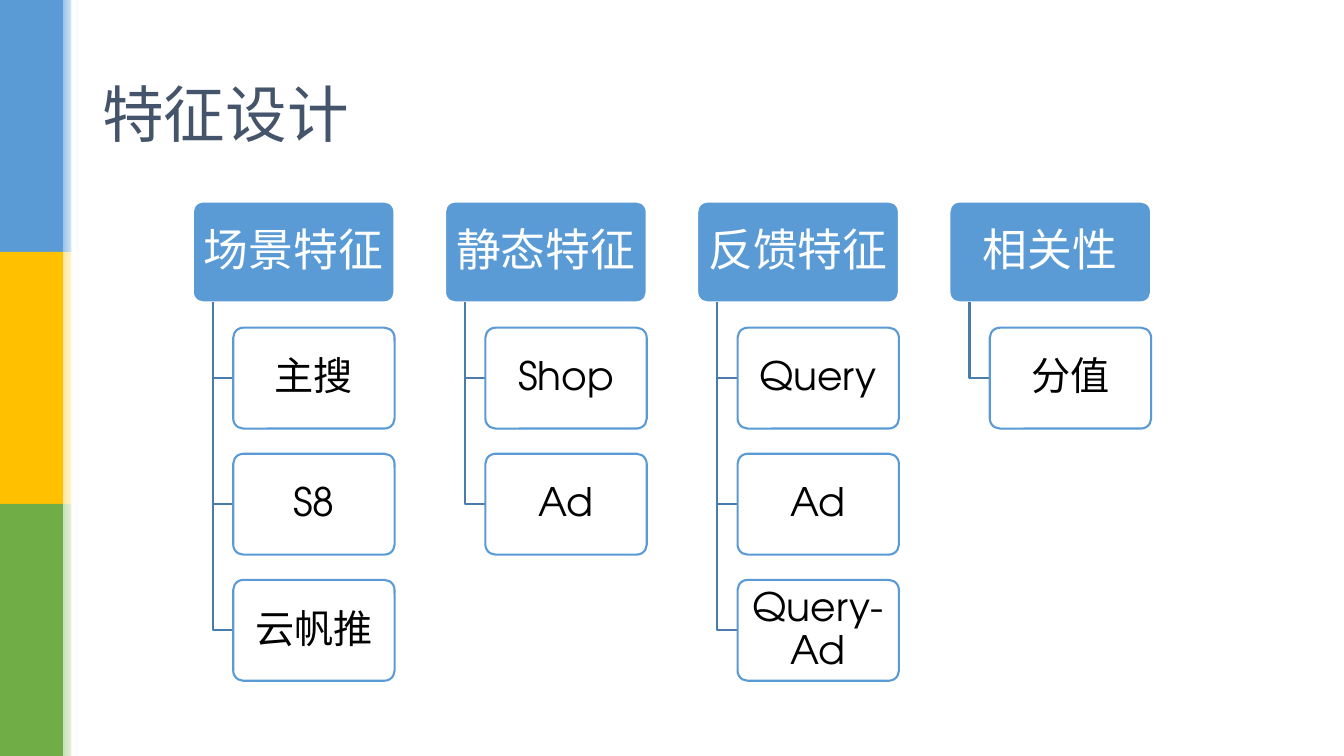
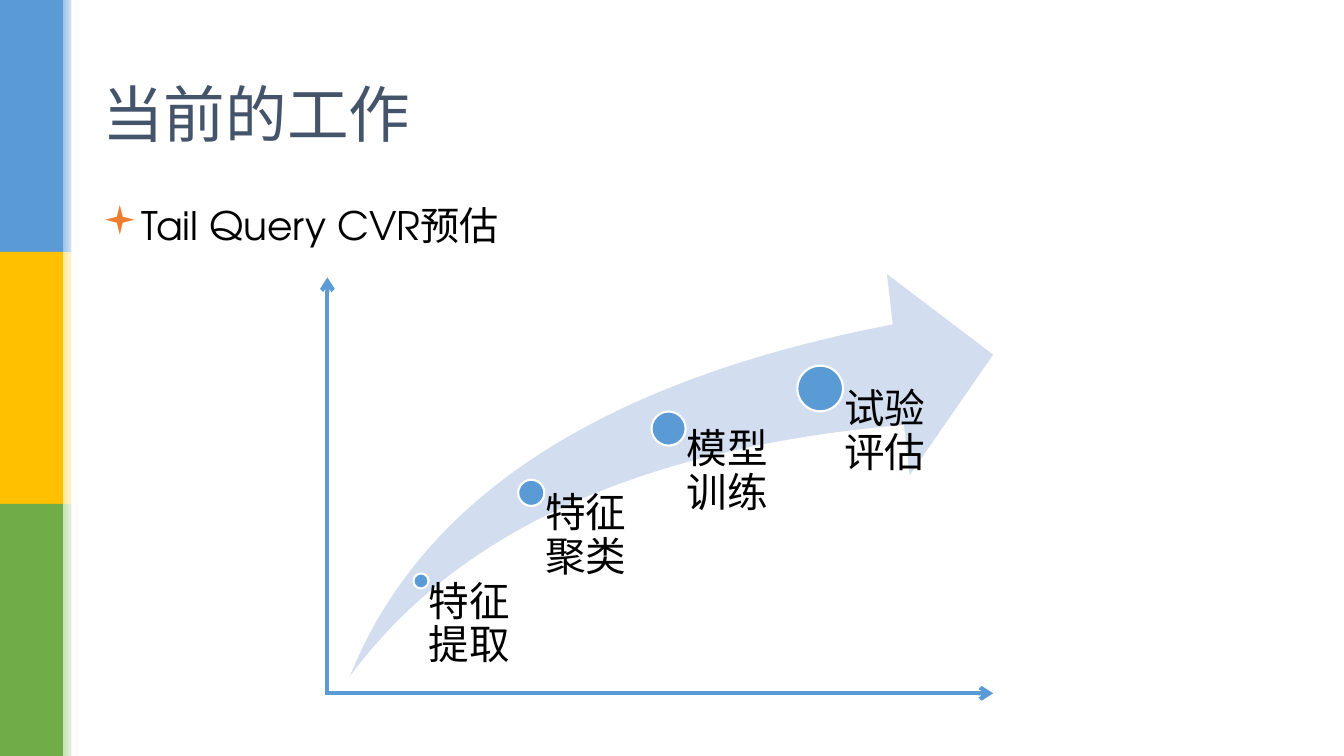
from dataclasses import dataclass

from lxml.etree import SubElement
from pptx import Presentation
from pptx.dml.color import RGBColor as RGB
from pptx.enum.shapes import MSO_CONNECTOR as Connector, MSO_SHAPE as Shape
from pptx.enum.text import MSO_ANCHOR as Anchor, PP_ALIGN as Align
from pptx.oxml.ns import qn
from pptx.util import Cm, Pt


@dataclass(frozen=True)
class Theme:
    font: str = "TeX Gyre Adventor"
    bullet_font: str = "Wingdings"
    blue: str = "5B9BD5"
    dark_blue: str = "497CAB"
    pale_blue: str = "D2DEEF"
    orange: str = "ED7D31"
    slate: str = "44546A"
    white: str = "FFFFFF"
    black: str = "000000"
    bands: tuple = (("5B9BD5", "9DC3E6"), ("FFC000", "FFE699"), ("70AD47", "C5E0B4"))
    title_size: int = 44
    header_size: int = 32
    label_size: int = 29
    body_size: int = 28
    thin: float = 1.5
    thick: float = 3


@dataclass(frozen=True)
class Box:
    """A rectangle measured in centimetres."""
    left: float
    top: float
    width: float
    height: float

    def lengths(self):
        return Cm(self.left), Cm(self.top), Cm(self.width), Cm(self.height)

    @property
    def right(self):
        return self.left + self.width

    @property
    def bottom(self):
        return self.top + self.height


THEME = Theme()
PAGE = Box(0, 0, 33.87, 19.05)
TITLE = Box(2.33, 1.0, 29.21, 3.68)
BODY = Box(2.33, 5.08, 29.21, 1.6)
TREE = Box(4.86, 5.08, 24.15, 12.06)
GROWTH = Box(8.82, 6.91, 16.21, 10.13)

FEATURES = [
    ("场景特征", ["主搜", "S8", "云帆推"]),
    ("静态特征", ["Shop", "Ad"]),
    ("反馈特征", ["Query", "Ad", "Query-Ad"]),
    ("相关性", ["分值"]),
]

# label, dot centre from the box corner, dot diameter, label width
STAGES = [
    ("特征提取", 1.79, 7.73, 0.38, 2.77),
    ("特征聚类", 4.57, 5.51, 0.66, 3.38),
    ("模型训练", 8.03, 3.89, 0.86, 3.38),
    ("试验评估", 11.85, 2.88, 1.15, 3.38),
]


def add_preset(s, kind, box, fill, line=None):
    sp = s.shapes.add_shape(kind, *box.lengths())
    sp.shadow.inherit = False
    sp.fill.solid()
    sp.fill.fore_color.rgb = RGB.from_string(fill)
    if line:
        sp.line.color.rgb = RGB.from_string(line)
        sp.line.width = Pt(THEME.thin)
    else:
        sp.line.fill.background()
    return sp


def write(sp, text, size, color, anchor=Anchor.MIDDLE, align=Align.LEFT,
          insets=(0.25, 0.13, 0.25, 0.13), spacing=0.9):
    tf = sp.text_frame
    tf.word_wrap = True
    tf.vertical_anchor = anchor
    tf.margin_left, tf.margin_top, tf.margin_right, tf.margin_bottom = map(Cm, insets)
    tf.text = text
    p = tf.paragraphs[0]
    p.alignment = align
    p.line_spacing = spacing
    font = p.runs[0].font
    font.name = THEME.font
    font.size = Pt(size)
    font.color.rgb = RGB.from_string(color)
    return p


def add_side_bands(s, box):
    solid, fade = 1.59, 0.4
    height = box.height / len(THEME.bands)
    for i, (strong, soft) in enumerate(THEME.bands):
        top = box.top + i * height
        add_preset(s, Shape.RECTANGLE, Box(box.left, top, solid, height), strong)
        sp = add_preset(s, Shape.RECTANGLE, Box(box.left + solid, top, fade, height), soft)
        sp.fill.gradient()
        sp.fill.gradient_angle = 0
        for stop, color, position in zip(sp.fill.gradient_stops, (soft, THEME.white), (0, 1)):
            stop.color.rgb = RGB.from_string(color)
            stop.position = position
    add_preset(s, Shape.RECTANGLE, Box(box.left + 1.8, box.top, 0.13, box.height), THEME.white)


def add_titled_slide(prs, title):
    s = prs.slides.add_slide(prs.slide_layouts[6])
    add_side_bands(s, PAGE)
    write(s.shapes.add_textbox(*TITLE.lengths()), title, THEME.title_size, THEME.slate,
          spacing=1.0)
    return s


def add_bullet(s, box, text):
    sp = s.shapes.add_textbox(*box.lengths())
    p = write(sp, text, THEME.body_size, THEME.black, anchor=Anchor.TOP)
    pPr = p._p.get_or_add_pPr()
    pPr.set("marL", str(Cm(0.64)))
    pPr.set("indent", str(-Cm(0.64)))
    color = SubElement(pPr, qn("a:buClr"))
    SubElement(color, qn("a:srgbClr"), val=THEME.orange)
    SubElement(pPr, qn("a:buFont"), typeface=THEME.bullet_font)
    SubElement(pPr, qn("a:buChar"), char="▪")


def add_card(s, box, text, size, color, fill, line):
    sp = add_preset(s, Shape.ROUNDED_RECTANGLE, box, fill, line)
    sp.adjustments[0] = 0.1
    write(sp, text, size, color, align=Align.CENTER, insets=(0.1, 0.1, 0.1, 0.1))


def add_elbow(s, x, top, right, bottom):
    """Draw a line down from (x, top), then across to (right, bottom)."""
    builder = s.shapes.build_freeform(Cm(x), Cm(top))
    builder.add_line_segments([(Cm(x), Cm(bottom)), (Cm(right), Cm(bottom))], close=False)
    sp = builder.convert_to_shape()
    sp.shadow.inherit = False
    sp.fill.background()
    sp.line.color.rgb = RGB.from_string(THEME.dark_blue)
    sp.line.width = Pt(THEME.thin)


def add_feature_tree(s, box, groups):
    """Draw each group as a header with its items hanging below it."""
    width = box.width / (1.25 * len(groups) - 0.25)
    height = width / 2
    for i, (name, items) in enumerate(groups):
        header = Box(box.left + 1.25 * i * width, box.top, width, height)
        add_card(s, header, name, THEME.header_size, THEME.white, THEME.blue, THEME.white)
        for j, item in enumerate(items, start=1):
            card = Box(header.left + 0.2 * width, box.top + 1.25 * j * height,
                       0.8 * width, height)
            add_elbow(s, header.left + 0.1 * width, header.bottom,
                      card.left, card.top + height / 2)
            add_card(s, card, item, THEME.body_size, THEME.black, THEME.white, THEME.blue)


def add_axis(s, x1, y1, x2, y2):
    line = s.shapes.add_connector(Connector.STRAIGHT, Cm(x1), Cm(y1), Cm(x2), Cm(y2))
    line.line.color.rgb = RGB.from_string(THEME.blue)
    line.line.width = Pt(THEME.thick)
    SubElement(line.line._get_or_add_ln(), qn("a:tailEnd"), type="arrow")
    SubElement(line._element.spPr, qn("a:effectLst"))


def add_growth_arrow(s, box, stages):
    """Draw the rising arrow with its stages, framed by two axes."""
    arrow = add_preset(s, Shape.SWOOSH_ARROW, box, THEME.pale_blue)
    arrow.adjustments[0] = arrow.adjustments[1] = 0.25
    for text, dx, dy, size, width in stages:
        x, y = box.left + dx, box.top + dy
        dot = Box(x - size / 2, y - size / 2, size, size)
        add_preset(s, Shape.OVAL, dot, THEME.blue, THEME.white)
        label = s.shapes.add_textbox(*Box(x, y, width, box.bottom - y).lengths())
        write(label, text, THEME.label_size, THEME.black, anchor=Anchor.TOP,
              insets=(0.53 * size, 0, 0, 0))
    x, y = box.left - 0.57, box.bottom + 0.43
    add_axis(s, x - 0.05, y, box.right, y)
    add_axis(s, x, y, x, box.top + 0.08)


def main():
    prs = Presentation()
    prs.slide_width, prs.slide_height = Cm(PAGE.width), Cm(PAGE.height)

    s = add_titled_slide(prs, "特征设计")
    add_feature_tree(s, TREE, FEATURES)

    s = add_titled_slide(prs, "当前的工作")
    add_bullet(s, BODY, "Tail Query CVR预估")
    add_growth_arrow(s, GROWTH, STAGES)

    prs.save("out.pptx")


if __name__ == "__main__":
    main()
